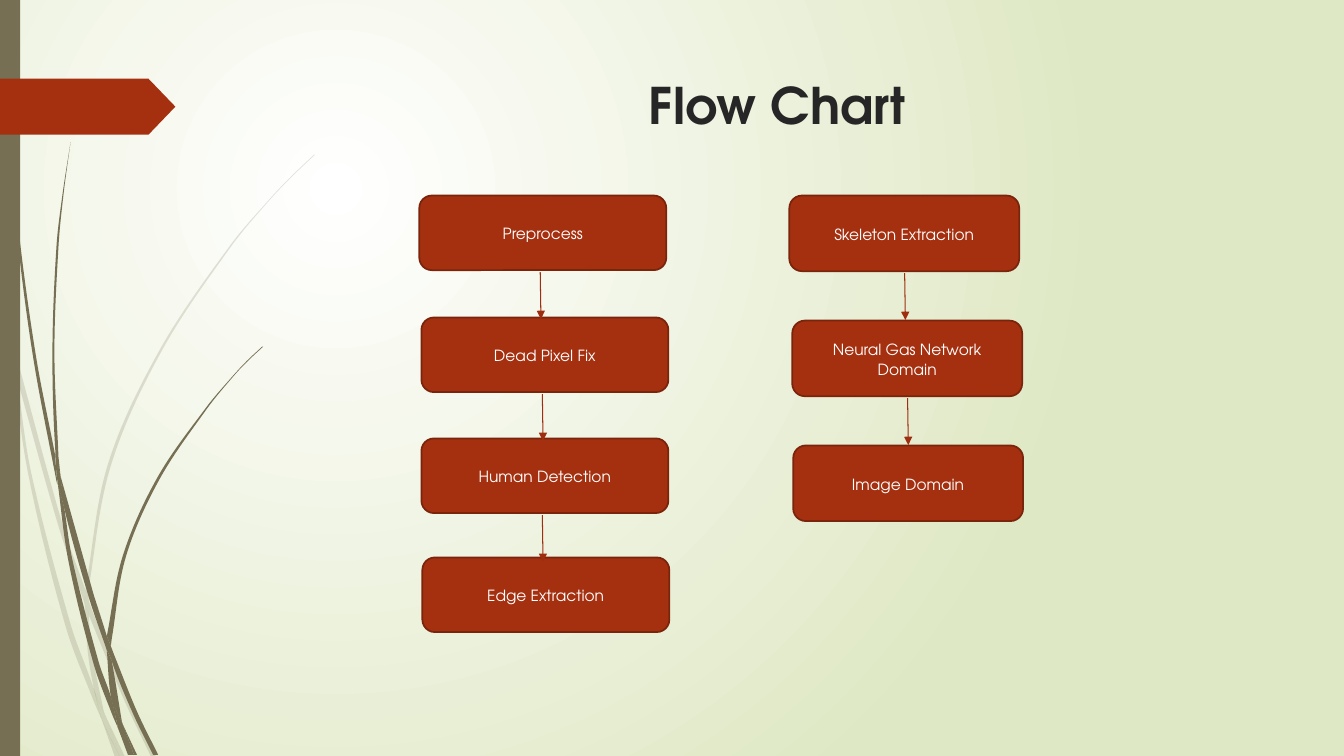
import math

from lxml import etree
from pptx import Presentation
from pptx.dml.color import RGBColor
from pptx.enum.shapes import MSO_CONNECTOR, MSO_SHAPE
from pptx.enum.text import MSO_ANCHOR, PP_ALIGN
from pptx.oxml.ns import qn
from pptx.util import Pt

STRAIGHT = MSO_CONNECTOR.STRAIGHT
RECTANGLE = MSO_SHAPE.RECTANGLE
ROUNDED = MSO_SHAPE.ROUNDED_RECTANGLE
PENTAGON = MSO_SHAPE.PENTAGON
CENTER = PP_ALIGN.CENTER
TOP, MIDDLE = MSO_ANCHOR.TOP, MSO_ANCHOR.MIDDLE

WHITE = RGBColor(0xFF, 0xFF, 0xFF)
PALE_GREEN = RGBColor(0xDF, 0xE8, 0xC4)
OLIVE = RGBColor(0x76, 0x6F, 0x54)
RUST = RGBColor(0xA5, 0x30, 0x10)
DARK_RUST = RGBColor(0x7A, 0x24, 0x0C)
ARROW_RUST = RGBColor(0x9E, 0x2E, 0x0F)
CHARCOAL = RGBColor(0x26, 0x26, 0x26)
FONT = "TeX Gyre Adventor"

# Grass pieces: one edge and the edge back, on a grid of GRASS_GRID points
GRASS_GRID = 0.72
PALE_GRASS = [
    ([(11, 350), (9, 322), (0, 282)], [(0, 299), (10, 344)]),
    ([(17, 376), (58, 522), (84, 599)], [(85, 586), (62, 520), (14, 345)]),
    ([(88, 610), (123, 694), (150, 751)], [(155, 751), (127, 692), (92, 607), (88, 596)]),
    ([(105, 711), (124, 751)], [(119, 751)]),
    ([(11, 350), (28, 470), (65, 621), (92, 693), (101, 714)],
     [(99, 707), (93, 683), (70, 619), (31, 469), (17, 376)]),
    ([(84, 599), (87, 646), (93, 683), (96, 692), (105, 711)],
     [(103, 706), (91, 646), (88, 610), (88, 608)]),
    ([(312, 153), (289, 175), (268, 197), (228, 244), (158, 348), (107, 461), (85, 584), (85, 586)],
     [(88, 596), (88, 584), (110, 462), (160, 349), (229, 245), (268, 198), (290, 175), (312, 154)]),
    ([(101, 714), (114, 751)], [(119, 751)]),
    ([(84, 599), (88, 608), (88, 610)], [(88, 596), (85, 586)]),
    ([(93, 683), (99, 707), (101, 714), (119, 751)], [(105, 711), (96, 692)]),
]
DARK_GRASS = [
    ([(3, 0), (4, 48), (7, 110), (17, 233), (33, 355), (56, 477), (57, 481)],
     [(55, 457), (55, 453), (36, 355), (19, 232), (8, 109), (5, 48), (4, 0)]),
    ([(60, 472), (64, 505), (88, 592), (106, 645)], [(106, 633), (106, 631), (93, 590)]),
    ([(110, 641), (111, 656), (132, 708), (152, 749)], [(157, 749), (136, 706), (113, 649)]),
    ([(57, 477), (68, 557), (93, 659), (111, 708), (117, 722)],
     [(116, 717), (110, 691), (98, 657), (72, 556), (64, 505)]),
    ([(70, 141), (62, 193), (56, 245), (52, 349), (55, 449), (60, 472)],
     [(58, 453), (54, 349), (58, 245), (63, 193), (70, 141)]),
    ([(122, 719), (133, 749)], [(136, 749)]),
    ([(55, 449), (55, 453), (57, 477), (64, 505)], [(60, 472)]),
    ([(260, 344), (245, 358), (231, 373), (204, 405), (156, 474), (122, 551), (106, 631)],
     [(110, 641), (111, 633), (125, 552), (158, 476), (205, 406), (231, 374), (245, 359), (261, 344)]),
    ([(117, 722), (127, 749)], [(131, 749)]),
    ([(106, 645), (110, 691), (116, 706), (122, 719)], [(121, 716), (111, 656), (109, 651)]),
    ([(106, 645), (109, 651), (111, 656)], [(110, 641), (106, 631)]),
    ([(110, 691), (116, 717), (117, 722), (130, 749)], [(133, 749), (122, 719), (116, 706)]),
]

# Each column: box width, box height, arrow offset, then boxes as left, top, text
COLUMNS = [
    (176.4, 53.3, 86.4, [(299.5, 139.7, "Preprocess"), (301, 226.8, "Dead Pixel Fix"),
                         (301, 313.2, "Human Detection"), (301.7, 398.2, "Edge Extraction")]),
    (164.2, 54, 82.4, [(563.8, 139.7, "Skeleton Extraction"),
                       (565.9, 229, "Neural Gas Network Domain"),
                       (566.6, 318.2, "Image Domain")]),
]
ARROW_GAP = 1.4
ARROW_LENGTH = 33.5


def paint_background(slide):
    fill = slide.background.fill
    fill.gradient()
    for stop, color in zip(fill.gradient_stops, (WHITE, PALE_GREEN)):
        stop.color.rgb = color
    gradient = slide.element.find(".//" + qn("a:gradFill"))
    gradient.remove(gradient.find(qn("a:lin")))
    circle = etree.SubElement(gradient, qn("a:path"), {"path": "circle"})
    etree.SubElement(circle, qn("a:fillToRect"), l="50000", t="50000", r="100000", b="100000")


def edge_controls(edge):
    """Return the two Bezier control points of each segment of a smooth edge."""
    angles = []
    for (x0, y0), (x1, y1) in zip([edge[0], *edge], [*edge[1:], edge[-1]]):
        angles.append(math.atan2(y1 - y0, x1 - x0))
    controls = []
    for start, end, angle0, angle1 in zip(edge, edge[1:], angles, angles[1:]):
        reach = math.dist(start, end) / 3
        controls.append([
            (start[0] + reach * math.cos(angle0), start[1] + reach * math.sin(angle0)),
            (end[0] - reach * math.cos(angle1), end[1] - reach * math.sin(angle1))])
    return controls


def add_grass_piece(shapes, edge, edge_back, alpha):
    unit = Pt(GRASS_GRID)
    outline = edge + edge_back
    builder = shapes.build_freeform(*outline[0], scale=unit)
    builder.add_line_segments(outline[1:], close=True)
    piece = builder.convert_to_shape()
    left = min(x for x, _ in outline)
    top = min(y for _, y in outline)
    segments = list(piece._element.iter(qn("a:lnTo")))
    controls = edge_controls(edge) + [None] + edge_controls(edge_back)
    for segment, pair in zip(segments, controls):
        if pair:
            segment.tag = qn("a:cubicBezTo")
            for index, (x, y) in enumerate(pair):
                # Control points use the grid units of the piece itself
                point = etree.Element(qn("a:pt"), x=str(round((x - left) * unit)),
                                      y=str(round((y - top) * unit)))
                segment.insert(index, point)
    # The outline is written in EMU so that control points keep their precision
    scale_outline(piece, segments, outline, left, top, unit)
    paint(piece, OLIVE)
    if alpha < 100:
        color = piece.fill._xPr.find(".//" + qn("a:srgbClr"))
        etree.SubElement(color, qn("a:alpha"), val=str(alpha * 1000))


def scale_outline(piece, segments, outline, left, top, unit):
    start = next(piece._element.iter(qn("a:moveTo")))
    for segment, (x, y) in zip([start, *segments], outline):
        segment[-1].set("x", str((x - left) * unit))
        segment[-1].set("y", str((y - top) * unit))
    frame = start.getparent()
    frame.set("w", str(piece.width))
    frame.set("h", str(piece.height))


def paint(shape, color):
    shape.shadow.inherit = False
    shape.fill.solid()
    shape.fill.fore_color.rgb = color
    shape.line.fill.background()


def add_block(shapes, kind, left, top, width, height, color):
    block = shapes.add_shape(kind, Pt(left), Pt(top), Pt(width), Pt(height))
    paint(block, color)
    return block


def write_text(shape, text, size, color, bold=False):
    frame = shape.text_frame
    frame.text = text
    frame.word_wrap = True
    para = frame.paragraphs[0]
    para.alignment = CENTER
    font = para.runs[0].font
    font.name, font.size, font.bold = FONT, Pt(size), bold
    font.color.rgb = color
    return para


def add_title(slide, text):
    title = slide.shapes.title
    title.left, title.top, title.width, title.height = Pt(204.2), Pt(49), Pt(702), Pt(100.8)
    write_text(title, text, 36, CHARCOAL, bold=True)
    title.text_frame.vertical_anchor = TOP


def add_step(shapes, left, top, width, height, text):
    box = add_block(shapes, ROUNDED, left, top, width, height, RUST)
    box.line.color.rgb = DARK_RUST
    box.line.width = Pt(1.25)
    para = write_text(box, text, 11, WHITE)
    para.line_spacing = 1.07
    para.space_after = Pt(8)
    box.text_frame.vertical_anchor = MIDDLE


def add_down_arrow(shapes, x, top):
    arrow = shapes.add_connector(STRAIGHT, Pt(x), Pt(top), Pt(x + 0.5), Pt(top + ARROW_LENGTH))
    arrow.line.color.rgb = ARROW_RUST
    arrow.line.width = Pt(0.75)
    etree.SubElement(arrow.line._get_or_add_ln(), qn("a:tailEnd"), type="triangle")
    etree.SubElement(arrow._element.spPr, qn("a:effectLst"))


def add_column(shapes, width, height, arrow_offset, steps):
    for left, top, text in steps:
        add_step(shapes, left, top, width, height, text)
    for left, top, _ in steps[:-1]:
        add_down_arrow(shapes, left + arrow_offset, top + height + ARROW_GAP)


def main():
    deck = Presentation()
    deck.slide_width, deck.slide_height = Pt(960), Pt(540)
    slide = deck.slides.add_slide(deck.slide_layouts[5])
    paint_background(slide)
    for pieces, alpha in ((PALE_GRASS, 20), (DARK_GRASS, 100)):
        grass = slide.shapes.add_group_shape()
        for edge, edge_back in pieces:
            add_grass_piece(grass.shapes, edge, edge_back, alpha)
    add_block(slide.shapes, RECTANGLE, 0, 0, 14.4, 540, OLIVE)
    tab = add_block(slide.shapes, PENTAGON, 0, 56.2, 125.3, 40, RUST)
    tab.adjustments[0] = 0.48
    add_title(slide, "Flow Chart")
    for column in COLUMNS:
        add_column(slide.shapes.add_group_shape().shapes, *column)
    deck.save("out.pptx")


if __name__ == "__main__":
    main()
